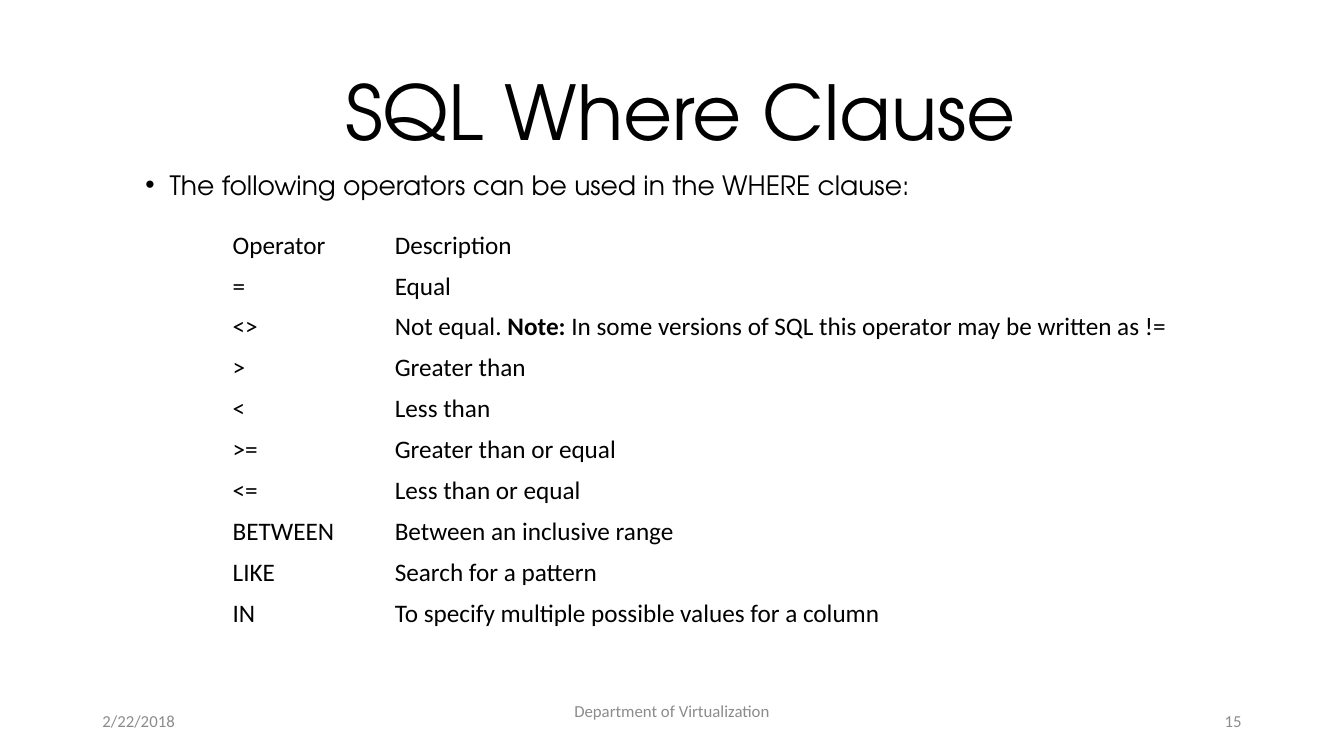
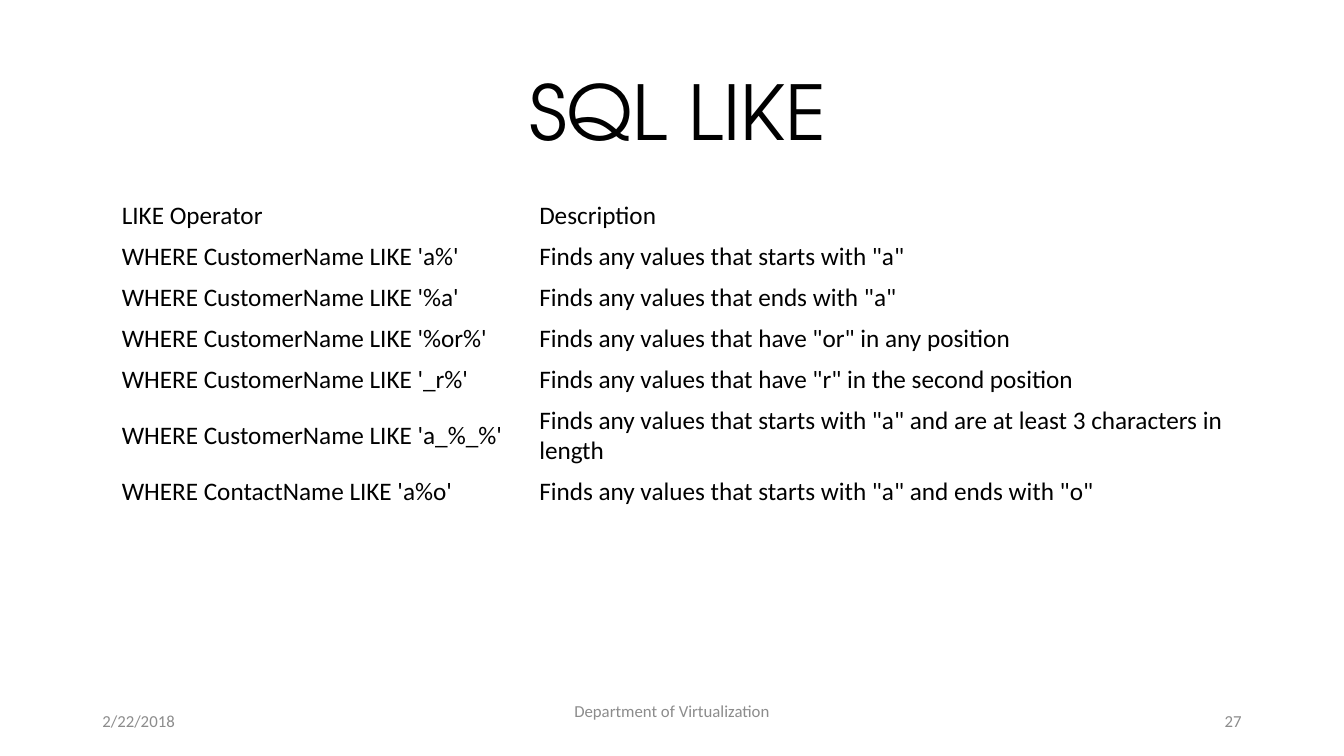
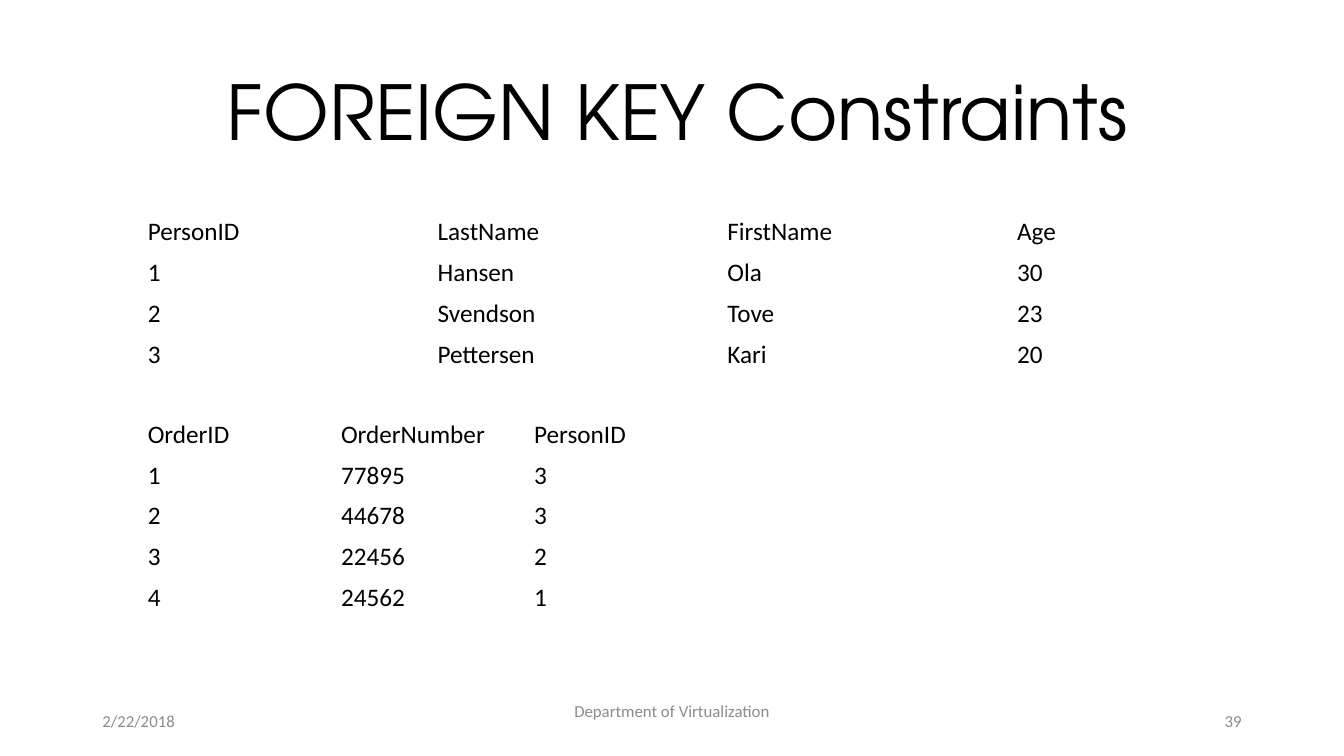
import pptx
import pptx.util
import pptx.dml.color
import pptx.enum.text
import pptx.oxml
import pptx.oxml.ns

# The slide is a grid of 160 columns by 90 rows.
WIDE = pptx.util.Inches(13.33)
HIGH = pptx.util.Inches(7.5)
COLS, ROWS = 160, 90
LINE = 4.8  # height of a table row or a footer, in grid rows

HUES = {"ink": "000000", "gray": "8C8C8C"}
ALIGN = pptx.enum.text.PP_ALIGN
ANCHOR = pptx.enum.text.MSO_ANCHOR
FONTS = {
    "title": {"name": "TeX Gyre Adventor", "size": 54, "hue": "ink"},
    "body": {"name": "TeX Gyre Adventor", "size": 19, "hue": "ink"},
    "cell": {"name": "Calibri", "size": 18, "hue": "ink"},
    "foot": {"name": "Calibri", "size": 12, "hue": "gray"},
}
PARAS = {
    "title": {"alignment": ALIGN.CENTER, "line_spacing": 0.9},
    "body": {"alignment": ALIGN.JUSTIFY, "line_spacing": 0.8,
             "space_before": pptx.util.Pt(0)},
}
FRAME = {"word_wrap": True, "auto_size": pptx.enum.text.MSO_AUTO_SIZE.NONE}

OPERATORS = [
    ("Operator", "Description"),
    ("=", "Equal"),
    ("<>", "Not equal. *Note:* In some versions of SQL this operator "
           "may be written as !="),
    (">", "Greater than"),
    ("<", "Less than"),
    (">=", "Greater than or equal"),
    ("<=", "Less than or equal"),
    ("BETWEEN", "Between an inclusive range"),
    ("LIKE", "Search for a pattern"),
    ("IN", "To specify multiple possible values for a column"),
]
PATTERNS = [
    ("LIKE Operator", "Description"),
    ("WHERE CustomerName LIKE 'a%'", 'Finds any values that starts with "a"'),
    ("WHERE CustomerName LIKE '%a'", 'Finds any values that ends with "a"'),
    ("WHERE CustomerName LIKE '%or%'",
     'Finds any values that have "or" in any position'),
    ("WHERE CustomerName LIKE '_r%'",
     'Finds any values that have "r" in the second position'),
    ("WHERE CustomerName LIKE 'a_%_%'",
     'Finds any values that starts with "a" and are at least 3 characters '
     'in length'),
    ("WHERE ContactName LIKE 'a%o'",
     'Finds any values that starts with "a" and ends with "o"'),
]
PERSONS = [
    ("PersonID", "LastName", "FirstName", "Age"),
    ("1", "Hansen", "Ola", "30"),
    ("2", "Svendson", "Tove", "23"),
    ("3", "Pettersen", "Kari", "20"),
]
ORDERS = [
    ("OrderID", "OrderNumber", "PersonID"),
    ("1", "77895", "3"),
    ("2", "44678", "3"),
    ("3", "22456", "2"),
    ("4", "24562", "1"),
]


def across(cols):
    return round(WIDE * cols / COLS)


def down(rows):
    return round(HIGH * rows / ROWS)


def area(left, top, wide, high):
    return across(left), down(top), across(wide), down(high)


def assign(item, values):
    for key, value in values.items():
        setattr(item, key, value)


def write(para, text, kind):
    """Add the text in the named style; parts between asterisks are bold."""
    style = FONTS[kind]
    assign(para, PARAS.get(kind, {}))
    for place, part in enumerate(text.split("*")):
        font = para.add_run().font
        assign(font, {"name": style["name"],
                      "size": pptx.util.Pt(style["size"]),
                      "bold": place % 2 == 1})
        font.color.rgb = pptx.dml.color.RGBColor.from_string(
            HUES[style["hue"]])
        para.runs[-1].text = part


def fill_holder(holder, box, text, kind):
    assign(holder, dict(zip(("left", "top", "width", "height"), area(*box))))
    frame = holder.text_frame
    assign(frame, {**FRAME, "vertical_anchor": ANCHOR.TOP})
    write(frame.paragraphs[0], text, kind)


def add_bullet(para):
    props = para._p.get_or_add_pPr()
    props.set("marL", str(pptx.util.Inches(0.5)))
    props.set("indent", str(pptx.util.Inches(-0.24)))
    for tag, key, value in (("a:buFont", "typeface", "Arial"),
                            ("a:buChar", "char", "•")):
        mark = pptx.oxml.parse_xml(
            f"<{tag} {pptx.oxml.ns.nsdecls('a')}/>")
        mark.set(key, value)
        props.append(mark)


def add_foot(slide, number):
    top = {"vertical_anchor": ANCHOR.TOP, "margin_top": 0}
    middle = {"vertical_anchor": ANCHOR.MIDDLE}
    for left, wide, text, align, place in (
            (11, 36, "2/22/2018", ALIGN.LEFT, middle),
            (53, 54, "Department of Virtualization", ALIGN.CENTER, top),
            (113, 36, str(number), ALIGN.RIGHT, middle)):
        frame = slide.shapes.add_textbox(
            *area(left, 83.4, wide, LINE)).text_frame
        assign(frame, {**FRAME, **place})
        frame.paragraphs[0].alignment = align
        write(frame.paragraphs[0], text, "foot")


def add_grid(slide, left, top, widths, rows):
    """Add a plain table without bands or fills."""
    table = slide.shapes.add_table(
        len(rows), len(widths),
        *area(left, top, sum(widths), LINE * len(rows))).table
    assign(table, {"first_row": False, "horz_banding": False})
    for column, wide in zip(table.columns, widths):
        column.width = across(wide)
    for line, texts in zip(table.rows, rows):
        for cell, text in zip(line.cells, texts):
            cell.fill.background()
            cell.vertical_anchor = ANCHOR.MIDDLE
            write(cell.text_frame.paragraphs[0], text, "cell")


def add_slide(deck, title, number, lead=None, left=1.3, wide=158.7):
    """Add a slide with title and footer, and a bulleted lead if given."""
    slide = deck.slides.add_slide(deck.slide_layouts[0])
    fill_holder(slide.shapes.title, (left, 8.4, wide, 11.8), title, "title")
    body = slide.placeholders[1]
    if lead:
        add_bullet(body.text_frame.paragraphs[0])
        fill_holder(body, (13, 20.2, 136, 5.4), lead, "body")
    else:
        body._element.getparent().remove(body._element)
    add_foot(slide, number)
    return slide


def main():
    deck = pptx.Presentation()
    assign(deck, {"slide_width": WIDE, "slide_height": HIGH})

    where = add_slide(
        deck, "SQL Where Clause", 15,
        "The following operators can be used in the WHERE clause:",
        left=15.7, wide=130.6)
    add_grid(where, 26.5, 26.8, (19.3, 103.1), OPERATORS)

    like = add_slide(deck, "SQL LIKE", 27)
    add_grid(like, 13.3, 23.3, (49.7, 85.9), PATTERNS)

    keys = add_slide(deck, "FOREIGN KEY Constraints", 39)
    add_grid(keys, 16.4, 25.2, [34.5] * 4, PERSONS)
    add_grid(keys, 16.4, 49.3, [23] * 3, ORDERS)

    deck.save("out.pptx")


if __name__ == "__main__":
    main()
